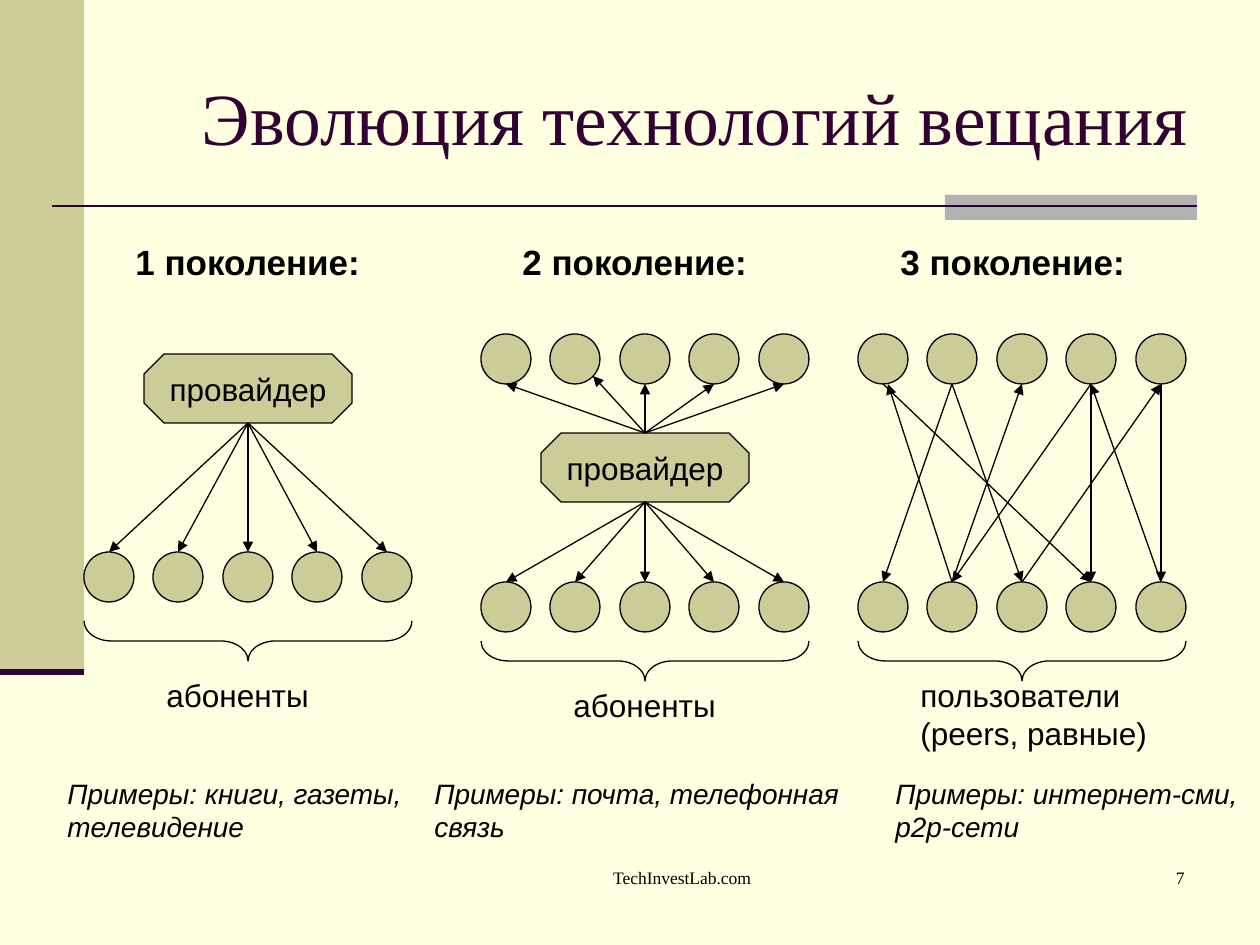
from pptx import Presentation
from pptx.dml.color import RGBColor
from pptx.enum.shapes import MSO_CONNECTOR, MSO_SHAPE
from pptx.enum.text import MSO_ANCHOR, MSO_AUTO_SIZE, PP_ALIGN
from pptx.oxml.ns import qn
from pptx.util import Emu, Inches, Pt
from lxml.etree import SubElement

PX = Inches(1) / 126
INK, DARK, KHAKI, GRAY, CREAM = "000000", "330033", "CCCC99", "B2B2B2", "FFFFE1"


def emu(*lengths):
    return [Emu(round(n * PX)) for n in lengths]


def write(sp, text, size=18, font="Arial", color=INK, bold=False, italic=False,
          align=PP_ALIGN.LEFT, anchor=MSO_ANCHOR.TOP, wrap=False, indent=0):
    tf = sp.text_frame
    tf.text = text
    tf.word_wrap = wrap
    tf.auto_size = MSO_AUTO_SIZE.NONE
    tf.vertical_anchor = anchor
    for p in tf.paragraphs:
        p.alignment = align
        if indent:
            p._p.get_or_add_pPr().set("marL", str(emu(indent)[0]))
        for r in p.runs:
            f = r.font
            f.size, f.name, f.bold, f.italic = Pt(size), font, bold, italic
            f.color.rgb = RGBColor.from_string(color)


prs = Presentation()
prs.slide_width, prs.slide_height = emu(1260, 945)
s = prs.slides.add_slide(prs.slide_layouts[5])
s.background.fill.solid()
s.background.fill.fore_color.rgb = RGBColor.from_string(CREAM)

title = s.shapes.title
title.left, title.top, title.width, title.height = emu(189, 38, 1071, 157)
write(title, "Эволюция технологий вещания", size=42, font="Times New Roman",
      color=DARK, anchor=MSO_ANCHOR.MIDDLE, wrap=True)

LEFT1, LEFT2, LEFT3 = 84, 481, 858
TOP, BOTTOM1, BOTTOM = 334, 552, 582
DOT = 50
steps = [i * 139 // 2 for i in range(5)]

shapes = [
    (MSO_SHAPE.RECTANGLE, 0, 0, 84, 672, KHAKI, None, ""),
    (MSO_SHAPE.RECTANGLE, 945, 195, 252, 25, GRAY, None, ""),
    (MSO_SHAPE.OCTAGON, 144, 354, 208, 69, KHAKI, INK, "провайдер"),
    (MSO_SHAPE.OCTAGON, 541, 433, 208, 69, KHAKI, INK, "провайдер"),
]
for left, top in [(LEFT1, BOTTOM1), (LEFT2, BOTTOM), (LEFT2, TOP),
                  (LEFT3, BOTTOM), (LEFT3, TOP)]:
    shapes += [(MSO_SHAPE.OVAL, left + step, top, DOT, DOT, KHAKI, INK, "")
               for step in steps]
for left, top in [(LEFT1, 477), (LEFT2, 497), (LEFT3, 497)]:
    shapes.append((MSO_SHAPE.RIGHT_BRACE, left + 144, top, 40, 328, None, INK, ""))

for kind, x, y, w, h, fill, line, text in shapes:
    sp = s.shapes.add_shape(kind, *emu(x, y, w, h))
    sp.shadow.inherit = False
    if fill:
        sp.fill.solid()
        sp.fill.fore_color.rgb = RGBColor.from_string(fill)
    else:
        sp.fill.background()
    if line:
        sp.line.color.rgb = RGBColor.from_string(line)
        sp.line.width = Pt(0.75)
    else:
        sp.line.fill.background()
    if kind == MSO_SHAPE.RIGHT_BRACE:
        sp.rotation = 90
        sp.adjustments[0] = 0.68
    if text:
        sp.adjustments[0] = 0.29
        write(sp, text, align=PP_ALIGN.CENTER, anchor=MSO_ANCHOR.MIDDLE)

x1, x2, x3 = [[left + step + DOT // 2 for step in steps]
              for left in (LEFT1, LEFT2, LEFT3)]
under = TOP + DOT
lines = [(52, 206, 1197, 206, DARK, 1.5, False),
         (0, 672, 84, 672, DARK, 3.5, False)]
arrows = [(x1[2], 423, x, BOTTOM1) for x in x1]
arrows += [(x2[2], 502, x, BOTTOM) for x in x2]
arrows += [(x2[2], 433, x, under) for x in x2 if x != x2[1]]
arrows.append((x2[2], 433, 593, 376))
arrows += [(x3[a], under, x3[b], BOTTOM)
           for a, b in [(1, 0), (3, 1), (1, 2), (3, 3), (4, 4), (0, 3)]]
arrows += [(x3[a], BOTTOM, x3[b], under) for a, b in [(1, 2), (2, 4), (4, 3)]]
arrows.append((x3[1], BOTTOM, 888, under))
lines += [(*ends, INK, 0.75, True) for ends in arrows]

for xa, ya, xb, yb, color, width, arrow in lines:
    c = s.shapes.add_connector(MSO_CONNECTOR.STRAIGHT, *emu(xa, ya, xb, yb))
    c.line.color.rgb = RGBColor.from_string(color)
    c.line.width = Pt(width)
    if arrow:
        SubElement(c.line._get_or_add_ln(), qn("a:tailEnd"), type="triangle")
    SubElement(c._element.spPr, qn("a:effectLst"))

heading = dict(size=20, bold=True)
example = dict(size=16, italic=True)
footer = dict(size=10, font="Times New Roman", wrap=True, indent=30)
labels = [
    (123, 234, 252, 55, "1 поколение:", heading),
    (510, 234, 252, 55, "2 поколение:", heading),
    (888, 234, 252, 55, "3 поколение:", heading),
    (154, 670, 168, 50, "абоненты", {}),
    (561, 680, 168, 50, "абоненты", {}),
    (908, 670, 252, 88, "пользователи\n(peers, равные)", {}),
    (55, 770, 369, 81, "Примеры: книги, газеты, \vтелевидение", example),
    (422, 770, 440, 81, "Примеры: почта, телефонная\nсвязь", example),
    (883, 770, 377, 81, "Примеры: интернет-сми,\np2p-сети", example),
    (462, 861, 410, 63, "TechInvestLab.com", dict(footer, align=PP_ALIGN.CENTER)),
    (935, 861, 262, 63, "7", dict(footer, align=PP_ALIGN.RIGHT)),
]
for x, y, w, h, text, style in labels:
    write(s.shapes.add_textbox(*emu(x, y, w, h)), text, **style)

prs.save("out.pptx")
